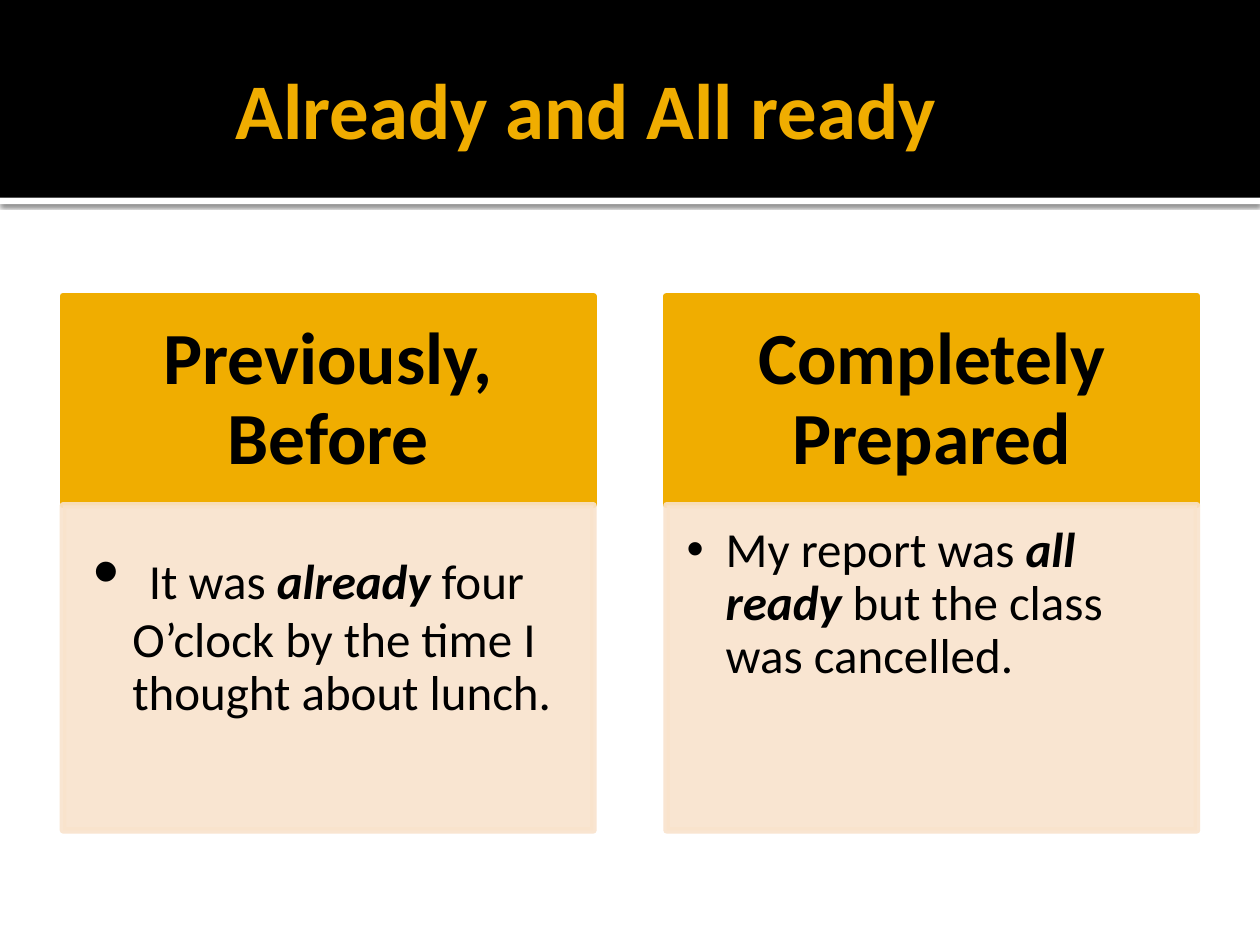
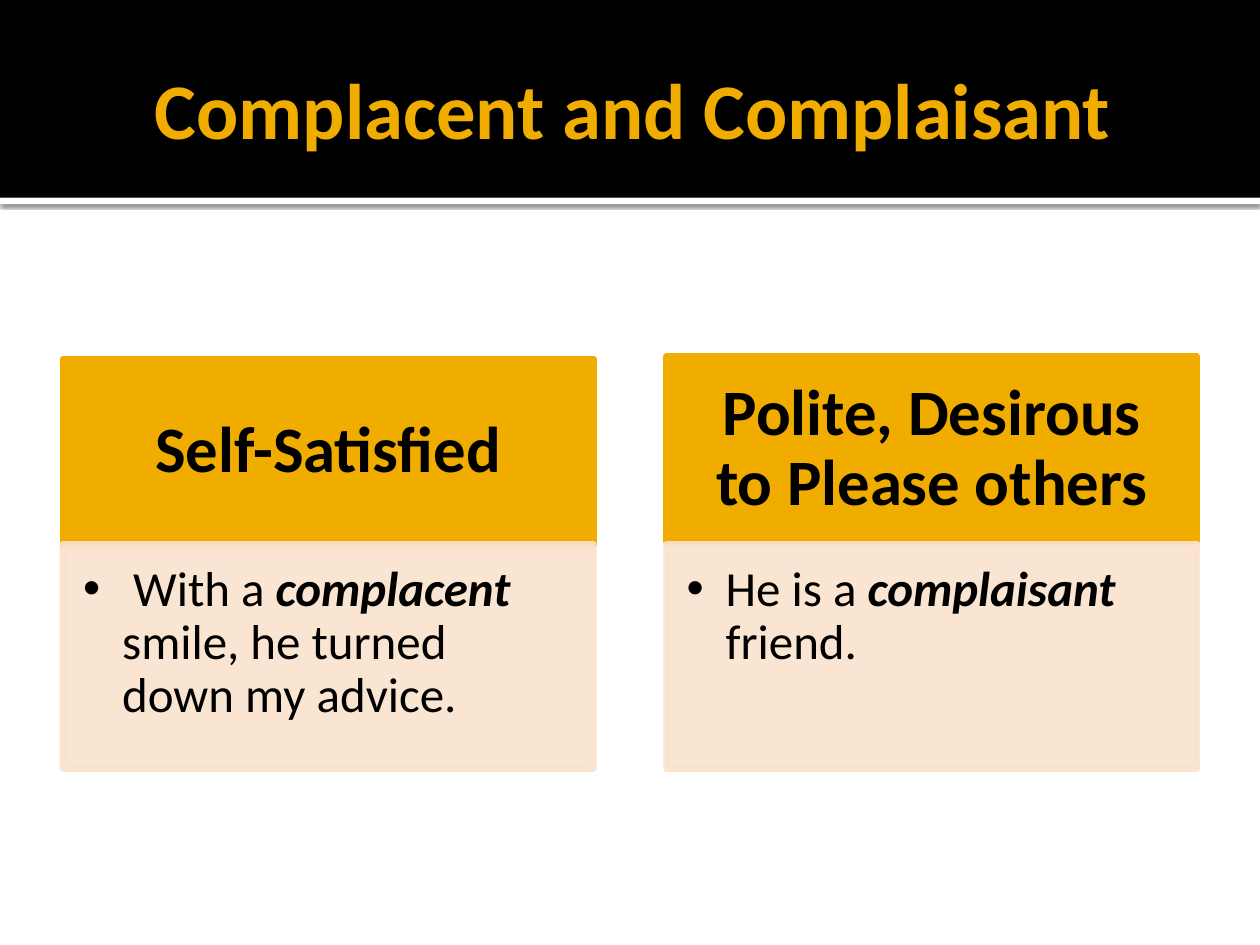
from typing import NamedTuple

from lxml.etree import SubElement
from pptx import Presentation
from pptx.dml.color import RGBColor
from pptx.enum.shapes import MSO_SHAPE
from pptx.enum.text import MSO_ANCHOR, PP_ALIGN
from pptx.oxml.ns import qn
from pptx.util import Inches, Pt

WIDTH, HEIGHT = Inches(10), Inches(7.5)
FONT = "Calibri"
BLACK = RGBColor(0x00, 0x00, 0x00)
WHITE = RGBColor(0xFF, 0xFF, 0xFF)
GOLD = RGBColor(0xF0, 0xAD, 0x00)
CREAM = RGBColor(0xF9, 0xE3, 0xCC)

# Places and insets are percentages of the slide's size.
BAND = 20.93
STRIP = 0.67
LEFTS = (5, 52.9)
CARD = 42.1
HANG = 3.1
TIGHT = (1.6, 1.6, 2.2, 2.4)
LOOSE = (2.4, 2.4, 3.3, 3.7)


class Box(NamedTuple):
    left: float
    top: float
    width: float
    height: float


class Run(NamedTuple):
    text: str
    strong: bool = False
    size: float = 28


class Card(NamedTuple):
    head: str
    top: float
    body: list[Run]
    pad: tuple = TIGHT


class Page(NamedTuple):
    title: str
    title_box: Box
    indent: float
    head_size: float
    head_height: float
    head_pad: tuple
    body_top: float
    body_height: float
    cards: list[Card]


PAGES = [
    Page("Already and All ready", Box(5, 2.27, 90, 18.27), 13.7,
         42, 22.13, (3.3, 1.9, 3.3, 1.9), 53.47, 34.4, [
             Card("Previously, Before", 31.33, [
                 Run(" ", size=42), Run("It was "), Run("already", True),
                 Run(" four O’clock by the time I thought about lunch."),
             ], LOOSE),
             Card("Completely Prepared", 31.33, [
                 Run("My report was "), Run("all ready ", True),
                 Run("but the class was cancelled."),
             ]),
         ]),
    Page("Complacent and Complaisant", Box(0, 2.27, 95, 18.27), 12.3,
         37, 19.6, (2.9, 1.6, 2.9, 1.6), 57.6, 23.73, [
             Card("Self-Satisfied", 38, [
                 Run(" With a "), Run("complacent", True),
                 Run(" smile, he turned down my advice."),
             ]),
             Card("Polite, Desirous to Please others", 37.73, [
                 Run("He is a"), Run(" complaisant ", True), Run("friend."),
             ]),
         ]),
]


def across(share: float) -> int:
    return round(WIDTH * share / 100)


def down(share: float) -> int:
    return round(HEIGHT * share / 100)


def place(box: Box) -> tuple:
    return (across(box.left), down(box.top),
            across(box.width), down(box.height))


def add_rect(slide, box: Box, color: RGBColor, edge: float = 0):
    rect = slide.shapes.add_shape(MSO_SHAPE.RECTANGLE, *place(box))
    rect.shadow.inherit = False
    rect.fill.solid()
    rect.fill.fore_color.rgb = color
    if edge:
        rect.line.color.rgb = color
        rect.line.width = Pt(edge)
    else:
        rect.line.fill.background()
    return rect


def add_alpha(color, percent: int) -> None:
    SubElement(color, qn("a:alpha"), val=str(percent * 1000))


def cast_shadow(shape) -> None:
    effects = shape._element.spPr.find(qn("a:effectLst"))
    outer = SubElement(effects, qn("a:outerShdw"), blurRad=str(Pt(2.5)),
                       dist=str(Pt(0.8)), dir="5400000", rotWithShape="0")
    add_alpha(SubElement(outer, qn("a:srgbClr"), val=str(BLACK)), 60)


def add_bullet(para) -> None:
    props = para._p.get_or_add_pPr()
    props.set("marL", str(across(HANG)))
    props.set("indent", str(-across(HANG)))
    SubElement(props, qn("a:buFont"), typeface="Arial")
    SubElement(props, qn("a:buChar"), char="•")


def write(shape, runs: list[Run], *, pad: tuple, color: RGBColor = BLACK,
          bold: bool = False, bullet: bool = False, spacing: float = 0.9,
          align=PP_ALIGN.LEFT, anchor=MSO_ANCHOR.MIDDLE) -> None:
    """Fill a shape with one paragraph; strong runs are bold and italic."""
    frame = shape.text_frame
    frame.word_wrap = True
    frame.vertical_anchor = anchor
    (frame.margin_left, frame.margin_top,
     frame.margin_right, frame.margin_bottom) = map(across, pad)
    para = frame.paragraphs[0]
    para.alignment = align
    para.line_spacing = spacing
    if bullet:
        add_bullet(para)
    for item in runs:
        run = para.add_run()
        run.text = item.text
        font = run.font
        font.name, font.size = FONT, Pt(item.size)
        font.color.rgb = color
        font.bold = bold or item.strong
        font.italic = item.strong


def add_top(slide, page: Page) -> None:
    """Draw the band, its shadowed strip and the title."""
    cast_shadow(add_rect(slide, Box(0, BAND, 100, STRIP), WHITE))
    add_rect(slide, Box(0, 0, 100, BAND), BLACK)
    title = slide.shapes.add_textbox(*place(page.title_box))
    write(title, [Run(page.title, size=45)], color=GOLD, bold=True,
          spacing=1.0, pad=(page.indent, 0.5, 0.5, 0.5))


def add_card(slide, page: Page, card: Card, left: float) -> None:
    head = add_rect(slide, Box(left, card.top, CARD, page.head_height),
                    GOLD, edge=3.78)
    write(head, [Run(card.head, size=page.head_size)], bold=True,
          pad=page.head_pad, align=PP_ALIGN.CENTER)
    body = add_rect(slide, Box(left, page.body_top, CARD, page.body_height),
                    CREAM, edge=3.78)
    for color in body._element.spPr.iter(qn("a:srgbClr")):
        add_alpha(color, 90)
    write(body, card.body, pad=card.pad, bullet=True, anchor=MSO_ANCHOR.TOP)


def main() -> None:
    deck = Presentation()
    deck.slide_width, deck.slide_height = WIDTH, HEIGHT
    for page in PAGES:
        slide = deck.slides.add_slide(deck.slide_layouts[6])
        add_top(slide, page)
        for card, left in zip(page.cards, LEFTS):
            add_card(slide, page, card, left)
    deck.save("out.pptx")


if __name__ == "__main__":
    main()
